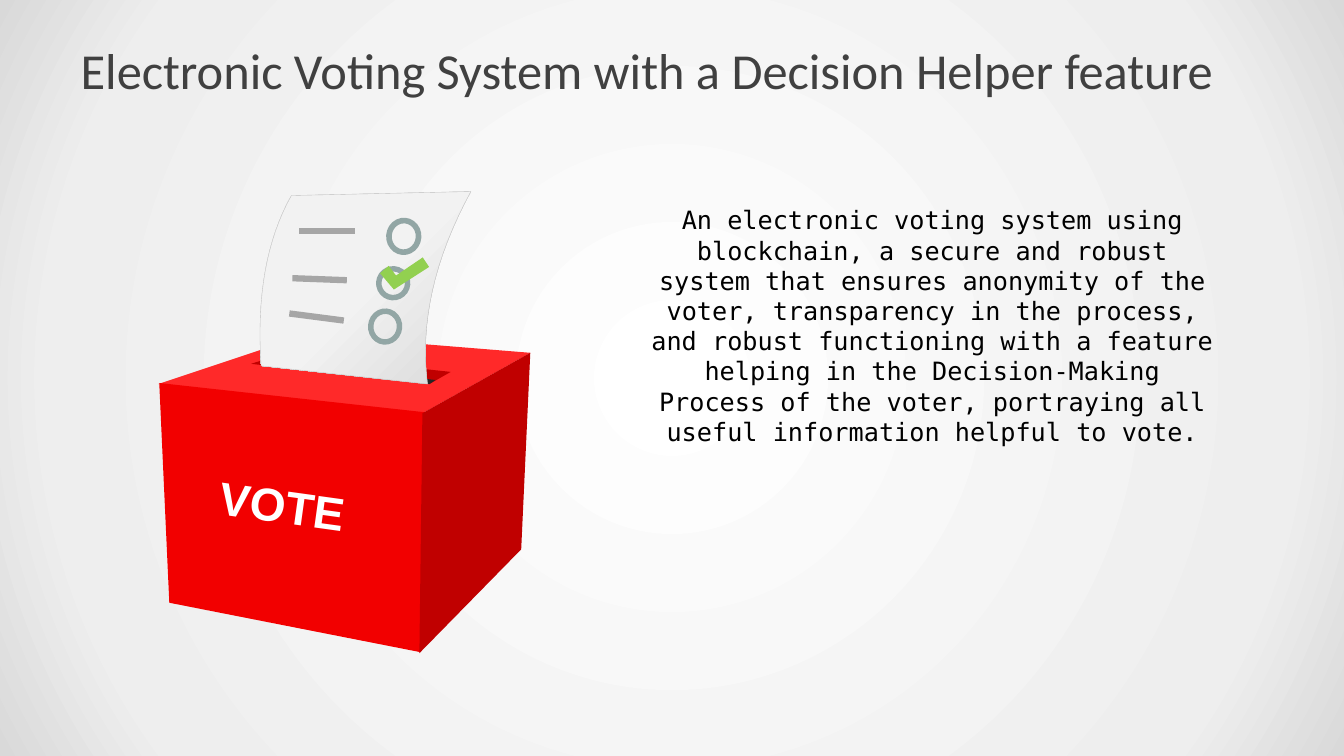
"""Builds a slide that introduces an electronic voting system with a ballot box."""
from pptx import Presentation, oxml, util as u
from pptx.dml.color import RGBColor
from pptx.enum import shapes, text
from pptx.oxml import ns

WHITE = RGBColor(0xFF, 0xFF, 0xFF)
BLACK = RGBColor(0x00, 0x00, 0x00)
TITLE_GREY = RGBColor(0x40, 0x40, 0x40)
MIST = RGBColor(0xEE, 0xEE, 0xEE)
PAPER_LIGHT = RGBColor(0xF2, 0xF2, 0xF2)
PAPER_DARK = RGBColor(0xD9, 0xD9, 0xD9)
PAPER_EDGE = RGBColor(0xBF, 0xBF, 0xBF)
BOX_TOP = RGBColor(0xFF, 0x29, 0x29)
BOX_FRONT = RGBColor(0xF2, 0x00, 0x00)
BOX_SIDE = RGBColor(0xC0, 0x00, 0x00)
SLOT_DARK = RGBColor(0x26, 0x26, 0x26)
RING_GREY = RGBColor(0x92, 0xA6, 0xA5)
TICK_GREEN = RGBColor(0x92, 0xD0, 0x50)
RULE_GREY = RGBColor(0xA6, 0xA6, 0xA6)

CELL = u.Inches(0.1)
TILT = 4.5
RADIAL = ('<a:path path="circle">'
          '<a:fillToRect l="50000" t="50000" r="50000" b="50000"/></a:path>')
DIAGONAL = '<a:lin ang="13500000" scaled="0"/>'


def cells(*counts):
    """Turn counts of grid cells into lengths."""
    return [u.Emu(round(count * CELL)) for count in counts]


def curve(start, pull, end, steps=16):
    """Return points along a quadratic curve."""
    points = []
    for step in range(steps + 1):
        t = step / steps
        points.append(tuple((1 - t) ** 2 * a + 2 * t * (1 - t) * b + t * t * c
                            for a, b, c in zip(start, pull, end)))
    return points


def blend(solid, stops, direction):
    """Replace a solid fill element with a gradient."""
    marks = "".join(f'<a:gs pos="{share * 1000}"><a:srgbClr val="{color}"/></a:gs>'
                    for share, color in stops)
    gradient = oxml.parse_xml(f'<a:gradFill {ns.nsdecls("a")} rotWithShape="1">'
                              f'<a:gsLst>{marks}</a:gsLst>{direction}</a:gradFill>')
    solid.getparent().replace(solid, gradient)


class Painter:
    """Holds the current slide and its style."""

    def __init__(self, page):
        self.page = page

    def backdrop(self, stops):
        """Fill the slide with a radial gradient."""
        self.page.background.fill.solid()
        blend(self.page.element.xpath(".//p:bgPr/a:solidFill")[0], stops, RADIAL)

    def words(self, place, wording, font, size, color, align=text.PP_ALIGN.LEFT,
              anchor=text.MSO_ANCHOR.MIDDLE, margin=1.3, wrap=True, bold=False, turn=0):
        """Add a text box with one run."""
        box = self.page.shapes.add_textbox(*cells(*place))
        box.rotation = turn
        frame = box.text_frame
        frame.word_wrap = wrap
        frame.vertical_anchor = anchor
        frame.margin_left, frame.margin_right = cells(margin, margin)
        frame.margin_top = frame.margin_bottom = 0
        para = frame.paragraphs[0]
        para.alignment = align
        span = para.add_run()
        span.text = wording
        span.font.name, span.font.size, span.font.bold = font, u.Pt(size), bold
        span.font.color.rgb = color

    def paint(self, shape, color, turn=0):
        """Give a shape a flat fill without outline or shadow."""
        shape.shadow.inherit = False
        shape.fill.solid()
        shape.fill.fore_color.rgb = color
        shape.line.fill.background()
        shape.rotation = turn
        return shape

    def outline(self, points, color, turn=0):
        """Add a closed polygon."""
        first, *rest = [cells(*point) for point in points]
        builder = self.page.shapes.build_freeform(*first)
        builder.add_line_segments(rest, close=True)
        return self.paint(builder.convert_to_shape(), color, turn)

    def sheet(self, points, stops, edge):
        """Add a shaded sheet of paper."""
        paper = self.outline(points, PAPER_LIGHT)
        paper.line.color.rgb = edge
        paper.line.width = u.Pt(0.25)
        blend(paper.element.xpath("./p:spPr/a:solidFill")[0], stops, DIAGONAL)

    def ring(self, place, color):
        """Add a tilted ring."""
        ring = self.page.shapes.add_shape(shapes.MSO_SHAPE.DONUT, *cells(*place))
        ring.adjustments[0] = 0.16
        self.paint(ring, color, TILT)

    def rule(self, start, end, color, width):
        """Add a straight line."""
        rule = self.page.shapes.add_connector(
            shapes.MSO_CONNECTOR.STRAIGHT, *cells(*start, *end))
        rule.line.color.rgb = color
        rule.line.width = u.Pt(width)
        rule.element.spPr.append(oxml.parse_xml(f'<a:effectLst {ns.nsdecls("a")}/>'))


def main():
    """Build and save the deck."""
    deck = Presentation()
    deck.slide_width, deck.slide_height = u.Inches(13.33), u.Inches(7.5)
    painter = Painter(deck.slides.add_slide(deck.slide_layouts[6]))
    painter.backdrop([(0, WHITE), (81, MIST), (100, PAPER_DARK)])
    painter.words((6.7, 3, 120, 7.8), "Electronic Voting System with a Decision Helper feature",
                  "Calibri", 36, TITLE_GREY)

    box_faces = [
        (BOX_TOP, [(30.4, 33.2), (52.6, 35), (41.9, 41), (15.7, 38.1)]),
        (BOX_FRONT, [(15.8, 38), (42.1, 40.9), (41.7, 64.7), (16.8, 59.8)]),
        (BOX_SIDE, [(52.6, 35), (51.7, 54.5), (41.6, 64.8), (41.9, 41)]),
        (BOX_SIDE, [(28, 35.1), (44.7, 36.9), (42.6, 38.1), (24.9, 36.1)]),
        (SLOT_DARK, [(27.6, 35.9), (43.2, 37.7), (42.6, 38.1), (26.6, 36.3)]),
    ]
    for color, corners in box_faces:
        painter.outline(corners, color)
    painter.words((20.7, 46.8, 14.6, 6.6), "VOTE", "Arial", 33, WHITE,
                  align=text.PP_ALIGN.CENTER, margin=1, wrap=False, bold=True, turn=8)

    right_edge = curve((46.7, 19), (41.25, 29), (42.4, 38.1))
    left_edge = curve((25.9, 36.3), (25.2, 26), (28.9, 19.4))
    painter.sheet(right_edge + left_edge,
                  [(0, PAPER_DARK), (50, PAPER_LIGHT), (100, PAPER_LIGHT)], PAPER_EDGE)
    for place in [(38.3, 21.6, 3.5, 3.7), (37.3, 26.4, 3.4, 3.4), (36.5, 30.6, 3.4, 3.6)]:
        painter.ring(place, RING_GREY)
    painter.outline([(41.8, 25.4), (42.5, 26.3), (39.2, 28.8), (37.7, 27.3),
                     (38.5, 26.5), (39.3, 27.4)], TICK_GREEN, TILT)
    for start, end in [((29.7, 22.9), (35.2, 22.9)), ((29, 27.6), (34.4, 27.8)),
                       ((28.7, 31.1), (34.1, 31.8))]:
        painter.rule(start, end, RULE_GREY, 4.5)

    painter.words((60.4, 20.3, 64.1, 46.6),
                  "An electronic voting system using blockchain, a secure and robust system "
                  "that ensures anonymity of the voter, transparency in the process, and robust "
                  "functioning with a feature helping in the Decision-Making Process of the "
                  "voter, portraying all useful information helpful to vote.",
                  "DejaVu Sans Mono", 18, BLACK, align=text.PP_ALIGN.CENTER,
                  anchor=text.MSO_ANCHOR.TOP, margin=3.5)
    deck.save("out.pptx")


main()
